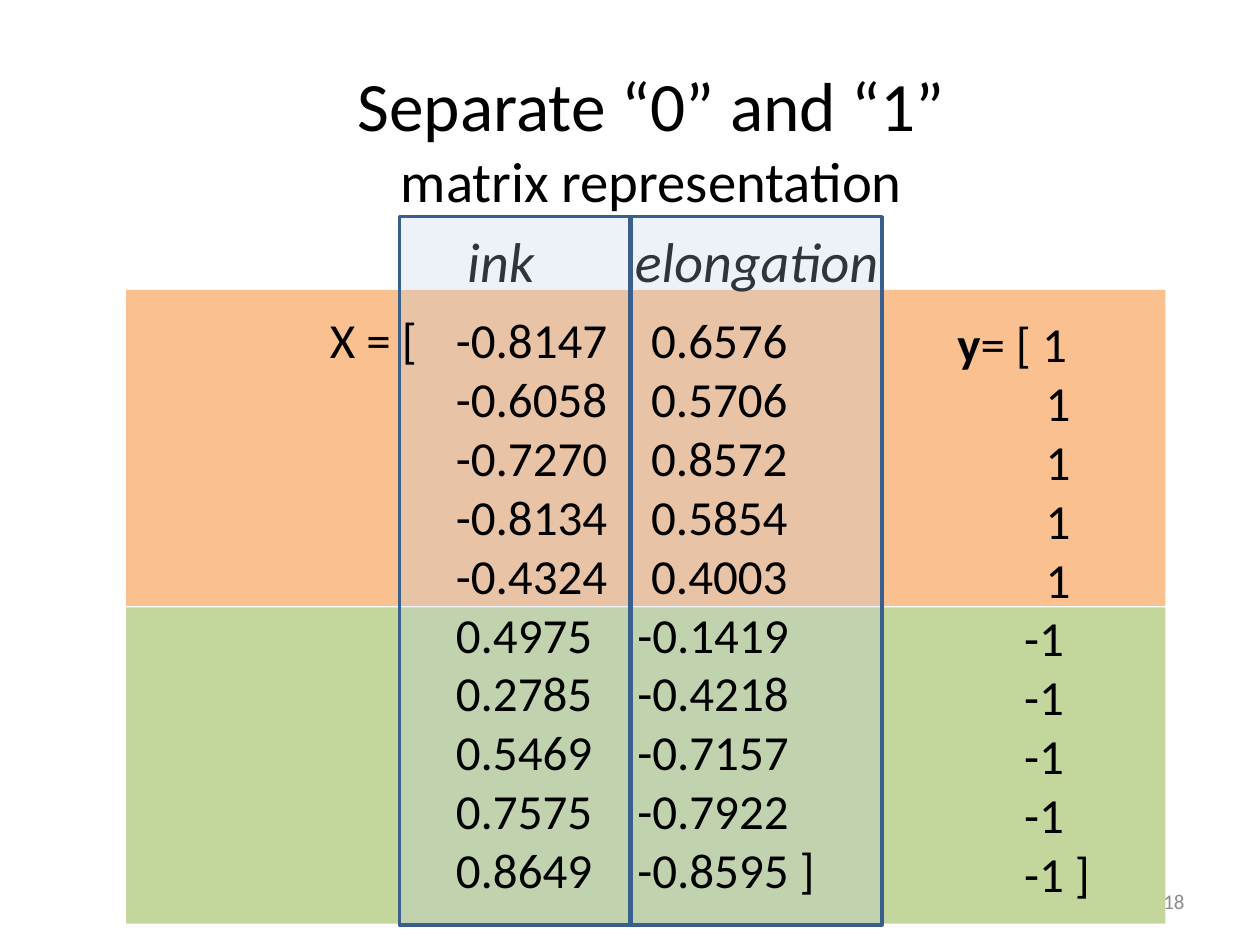
from lxml import etree
from pptx import Presentation
from pptx.dml.color import RGBColor
from pptx.enum import shapes, text
from pptx.oxml import ns
from pptx.util import Inches, Pt

COLORS = {"one": "FAC090", "zero": "C3D69B", "column": "B9CDE5",
          "edge": "3A5F8C", "ink": "000000", "number": "8C8C8C"}

TITLE = [("Separate “0” and “1”", 39.6), ("matrix representation", 32.4)]
FEATURES = ["ink", "elongation"]
SAMPLES = [
    ("-0.8147", "0.6576", "1"),
    ("-0.6058", "0.5706", "1"),
    ("-0.7270", "0.8572", "1"),
    ("-0.8134", "0.5854", "1"),
    ("-0.4324", "0.4003", "1"),
    ("0.4975", "-0.1419", "-1"),
    ("0.2785", "-0.4218", "-1"),
    ("0.5469", "-0.7157", "-1"),
    ("0.7575", "-0.7922", "-1"),
    ("0.8649", "-0.8595 ]", "-1 ]"),
]
BANDS = [("one", 2.3), ("zero", 4.82)]
COLUMNS = [(3.17, 1.83), (5.01, 1.99)]

deck = Presentation()
deck.slide_width, deck.slide_height = Inches(10), Inches(7.5)
page = deck.slides.add_slide(deck.slide_layouts[6])


def color(name):
    return RGBColor.from_string(COLORS[name])


def add_rectangle(left, top, width, height, fill):
    box = page.shapes.add_shape(shapes.MSO_SHAPE.RECTANGLE, Inches(left),
                                Inches(top), Inches(width), Inches(height))
    box.shadow.inherit = False
    box.fill.solid()
    box.fill.fore_color.rgb = color(fill)
    box.line.fill.background()
    return box


def add_text(left, top, width, height, anchor=text.MSO_ANCHOR.TOP):
    box = page.shapes.add_textbox(Inches(left), Inches(top),
                                  Inches(width), Inches(height))
    box.text_frame.word_wrap = True
    box.text_frame.vertical_anchor = anchor
    return box.text_frame


def style(para, size, tabs=(), fill="ink"):
    if tabs:
        stops = etree.SubElement(para._p.get_or_add_pPr(), ns.qn("a:tabLst"))
        for stop in tabs:
            etree.SubElement(stops, ns.qn("a:tab"), pos=str(Inches(stop)), algn="l")
    para.font.name = "Calibri"
    para.font.size = Pt(size)
    para.font.color.rgb = color(fill)


def next_paragraph(frame, index):
    return frame.add_paragraph() if index else frame.paragraphs[0]


# Class bands
for name, top in BANDS:
    add_rectangle(1, top, 8.25, 2.51, name)

# Feature names
para = add_text(0.5, 1.75, 9, 0.7).paragraphs[0]
para.add_run().text = "".join("\t" + feature for feature in FEATURES)
style(para, 32, (3.11, 4.44))
para.font.italic = True

# Title
para = add_text(0.67, 0.47, 9, 1.25, text.MSO_ANCHOR.MIDDLE).paragraphs[0]
para.alignment = text.PP_ALIGN.CENTER
style(para, TITLE[0][1])
for index, (line, size) in enumerate(TITLE):
    if index:
        para.add_line_break()
    span = para.add_run()
    span.text = line
    span.font.size = Pt(size)

# Label vector y
labels = add_text(7.5, 2.44, 1.33, 5.12)
for index, (_, _, label) in enumerate(SAMPLES):
    para = next_paragraph(labels, index)
    if index == 0:
        span = para.add_run()
        span.text = "y"
        span.font.bold = True
        para.add_run().text = "= [ " + label
        style(para, 28)
    else:
        para.add_run().text = "\t" + label
        style(para, 28, (0.53 if label.startswith("-") else 0.7,))

# Translucent feature columns
for left, width in COLUMNS:
    box = add_rectangle(left, 1.72, width, 5.62, "column")
    box.line.color.rgb = color("edge")
    box.line.width = Pt(2)
    tint = box.fill._xPr.find(".//" + ns.qn("a:srgbClr"))
    etree.SubElement(tint, ns.qn("a:alpha"), val="26000")

# Feature matrix X, with minus signs hanging left of the second column
matrix = add_text(2.52, 2.41, 4.23, 4.81)
for index, (ink, elongation, _) in enumerate(SAMPLES):
    para = next_paragraph(matrix, index)
    opening = "" if index else "X = ["
    para.add_run().text = f"{opening}\t{ink}\t{elongation}"
    style(para, 28, (1, 2.44 if elongation.startswith("-") else 2.55))

# Slide number
para = add_text(7.17, 6.95, 2.33, 0.4, text.MSO_ANCHOR.MIDDLE).paragraphs[0]
para.alignment = text.PP_ALIGN.RIGHT
para.add_run().text = "18"
style(para, 12, fill="number")

deck.save("out.pptx")
